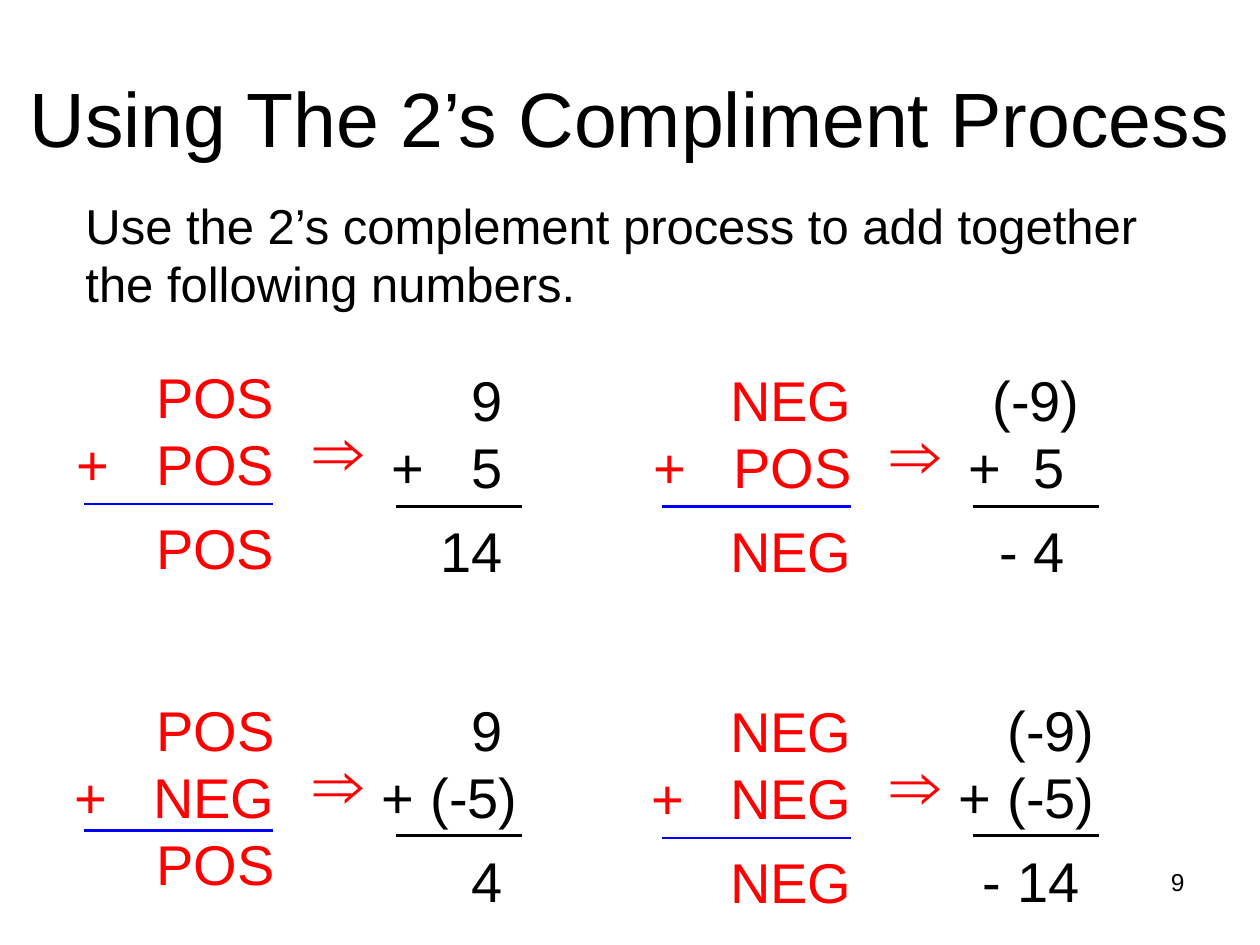
from pptx import Presentation
from pptx.dml.color import RGBColor
from pptx.enum.shapes import MSO_CONNECTOR
from pptx.enum.text import MSO_ANCHOR, PP_ALIGN
from pptx.oxml.ns import qn
from pptx.util import Inches, Pt
from lxml import etree

LEFT, CENTER, RIGHT = PP_ALIGN.LEFT, PP_ALIGN.CENTER, PP_ALIGN.RIGHT
TOP, MIDDLE = MSO_ANCHOR.TOP, MSO_ANCHOR.MIDDLE
STRAIGHT = MSO_CONNECTOR.STRAIGHT

BLACK, RED, BLUE = "000000", "FF0000", "0000FF"
INSET = 0.1
DIGIT_GAP = 0.12  # one character space at 32 pt


def color(value):
    return RGBColor.from_string(value)


class SlideBuilder:
    font = "Arial"
    sum_size = 32
    rule_width = 1.5

    def __init__(self, slide):
        self.slide = slide

    def style(self, paragraph, size, ink, align=LEFT):
        paragraph.alignment = align
        paragraph.font.name = self.font
        paragraph.font.size = Pt(size)
        paragraph.font.color.rgb = color(ink)

    def frame(self, left, top, width, height, anchor=TOP):
        box = self.slide.shapes.add_textbox(
            Inches(left), Inches(top), Inches(width), Inches(height))
        box.text_frame.word_wrap = True
        box.text_frame.vertical_anchor = anchor
        return box.text_frame

    def text(self, words, box, size, ink=BLACK, align=LEFT, anchor=TOP):
        paragraph = self.frame(*box, anchor).paragraphs[0]
        paragraph.text = words
        self.style(paragraph, size, ink, align)

    def rule(self, left, right, y, ink):
        line = self.slide.shapes.add_connector(
            STRAIGHT, Inches(left), Inches(y), Inches(right), Inches(y))
        line.line.color.rgb = color(ink)
        line.line.width = Pt(self.rule_width)
        etree.SubElement(line._element.spPr, qn("a:effectLst"))

    def column_sum(self, rows, left, edge, top, ink, result_spacing=1.25):
        """Rows are (sign, value, spaces kept free before the right edge)."""
        frame = self.frame(left, top, edge + INSET - left, 1.84)
        frame.margin_right = 0
        for index, (sign, value, hang) in enumerate(rows):
            paragraph = frame.add_paragraph() if index else frame.paragraphs[0]
            paragraph.text = f"{sign}\t{value}"
            self.style(paragraph, self.sum_size, ink)
            self.right_tab(paragraph, edge - left - INSET - hang * DIGIT_GAP)
        frame.paragraphs[-1].line_spacing = result_spacing

    def right_tab(self, paragraph, position):
        properties = paragraph._p.get_or_add_pPr()
        tabs = etree.Element(qn("a:tabLst"))
        etree.SubElement(tabs, qn("a:tab"), pos=str(Inches(position)), algn="r")
        properties.find(qn("a:defRPr")).addprevious(tabs)


# Column offset, label top, number top, number rule, result line spacing,
# labels, numbers with their spaces before the right edge
EXAMPLES = [
    (0, 2.83, 2.85, 4.02, 1.25, ("POS", "POS", "POS"),
     (("9", 1), ("5", 1), ("14", 1))),
    (4.58, 2.85, 2.85, 4.02, 1.25, ("NEG", "POS", "NEG"),
     (("(-9)", 1), ("5", 2), ("- 4", 2))),
    (0, 5.47, 5.47, 6.63, 1, ("POS", "NEG", "POS"),
     (("9", 1), ("(-5)", 0), ("4", 1))),
    (4.58, 5.48, 5.47, 6.63, 1.25, ("NEG", "NEG", "NEG"),
     (("(-9)", 0), ("(-5)", 0), ("- 14", 1))),
]
SIGNS = ("", "+", "")


def main():
    deck = Presentation()
    deck.slide_width, deck.slide_height = Inches(10), Inches(7.5)
    builder = SlideBuilder(deck.slides.add_slide(deck.slide_layouts[6]))

    # Heading, task and page number
    builder.text("Using The 2’s Compliment Process", (0, 0.3, 10, 1.25), 44,
                 align=CENTER, anchor=MIDDLE)
    builder.text("Use the 2’s complement process to add together "
                 "the following numbers.", (0.58, 1.5, 9.08, 1.04), 28)
    builder.text("9", (7.17, 6.83, 2.33, 0.52), 14, align=RIGHT)

    for x, label_top, number_top, number_rule, spacing, labels, numbers in EXAMPLES:
        # Sign rule; a wider second operand starts further left
        label_left = x + (0.49 if labels[1] == "NEG" else 0.51)
        label_rows = [(sign, label, 1) for sign, label in zip(SIGNS, labels)]
        builder.column_sum(label_rows, label_left, x + 2.3, label_top, RED, spacing)
        builder.rule(x + 0.67, x + 2.17,
                     label_top + (1.17 if spacing > 1 else 1.12), BLUE)
        builder.text("⇒", (x + 2.39, label_top + 0.35, 0.64, 0.77), 40, RED)

        # Worked numbers
        number_left = x + (2.93 if "(" in numbers[1][0] else 3.01)
        number_rows = [(sign, *number) for sign, number in zip(SIGNS, numbers)]
        builder.column_sum(number_rows, number_left, x + 4.11, number_top, BLACK)
        builder.rule(x + 3.14, x + 4.14, number_rule, BLACK)

    deck.save("out.pptx")


if __name__ == "__main__":
    main()
